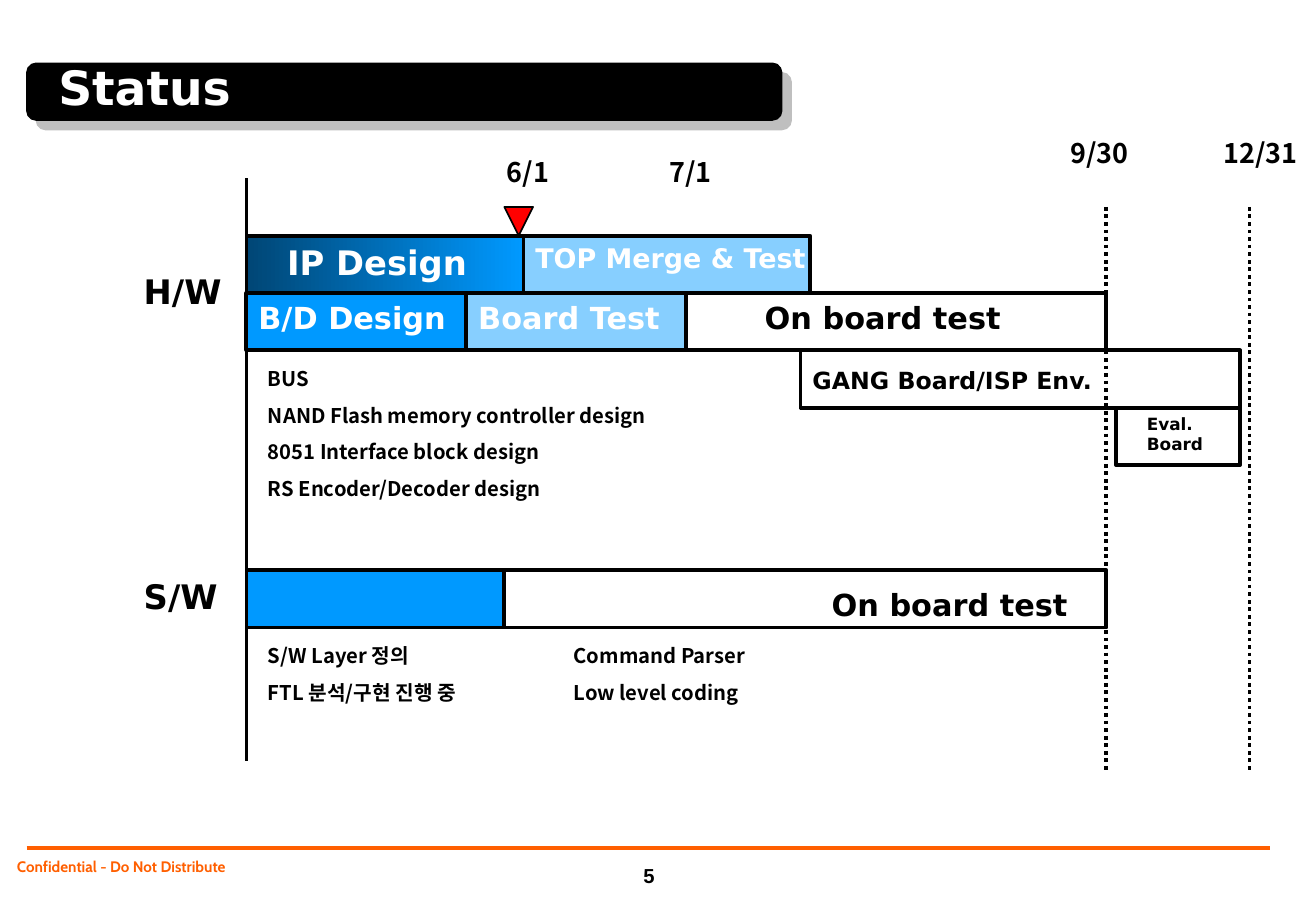
from lxml import etree
from pptx import Presentation
from pptx import util as u
from pptx.dml.color import RGBColor
from pptx.enum import dml, shapes, text
from pptx.oxml.ns import qn

WIDTH, HEIGHT = 10.84, 7.5
CELL, START_X, START_Y = 0.0787, 2.03, 1.94
BAR = 6
COLORS = {"black": "000000", "white": "FFFFFF", "blue": "0099FF", "navy": "004675",
          "red": "FF0000", "orange": "FF5F00", "shadow": "808080"}
SANS, KOREAN = "DejaVu Sans", "Noto Sans CJK KR"


def rgb(name):
    return RGBColor.from_string(COLORS[name])


def col(n):
    return START_X + n * CELL


def row(n):
    return START_Y + n * CELL


def cells(x, y, width, height):
    return col(x), row(y), width * CELL, height * CELL


def inches(lengths):
    return [u.Inches(length) for length in lengths]


def write(frame, content, font=SANS, size=18, color="black", align=text.PP_ALIGN.LEFT,
          anchor=text.MSO_ANCHOR.TOP, insets=(0.1, 0.05, 0.1, 0.05), gap=0, spacing=1):
    frame.word_wrap = True
    frame.auto_size = text.MSO_AUTO_SIZE.NONE
    frame.vertical_anchor = anchor
    (frame.margin_left, frame.margin_top,
     frame.margin_right, frame.margin_bottom) = inches(insets)
    for i, line in enumerate(content.split("\n")):
        paragraph = frame.paragraphs[0] if i == 0 else frame.add_paragraph()
        paragraph.alignment = align
        paragraph.line_spacing = spacing
        paragraph.space_before = u.Pt(gap if i else 0)
        run = paragraph.add_run()
        run.text = line
        run.font.name, run.font.size, run.font.bold = font, u.Pt(size), True
        run.font.color.rgb = rgb(color)
        etree.SubElement(run.font._element, qn("a:ea"), typeface=font)


def label(slide, content, place, **style):
    write(slide.shapes.add_textbox(*inches(place)).text_frame, content, **style)


def block(slide, place, fill=None, kind=shapes.MSO_SHAPE.RECTANGLE, weight=2.25, opacity=None):
    shape = slide.shapes.add_shape(kind, *inches(place))
    shape.shadow.inherit = False
    shape.line.color.rgb = rgb("black")
    shape.line.width = u.Pt(weight)
    if fill is None:
        shape.fill.background()
    else:
        shape.fill.solid()
        shape.fill.fore_color.rgb = rgb(fill)
    if opacity:
        tint = shape._element.spPr.find(qn("a:solidFill"))[0]
        etree.SubElement(tint, qn("a:alpha"), val=str(opacity * 1000))
    return shape


def rule(slide, x1, y1, x2, y2, color="black", weight=2.25, dash=None):
    line = slide.shapes.add_connector(shapes.MSO_CONNECTOR.STRAIGHT, *inches((x1, y1, x2, y2)))
    line.line.color.rgb = rgb(color)
    line.line.width = u.Pt(weight)
    if dash:
        line.line.dash_style = dash
    etree.SubElement(line._element.spPr, qn("a:effectLst"))


def add_heading(slide):
    banner = block(slide, (0.22, 0.52, 6.22, 0.47), "black",
                   shapes.MSO_SHAPE.ROUNDED_RECTANGLE, 0.75)
    effects = banner._element.spPr.find(qn("a:effectLst"))
    shadow = etree.SubElement(effects, qn("a:outerShdw"), blurRad="0", dist=str(u.Pt(8)),
                              dir="2700000", algn="ctr", rotWithShape="0")
    shade = etree.SubElement(shadow, qn("a:srgbClr"), val=COLORS["shadow"])
    etree.SubElement(shade, qn("a:alpha"), val="50000")
    title = slide.shapes.title
    title.left, title.top, title.width, title.height = inches((0.38, 0.2, 4.41, 1.03))
    write(title.text_frame, "Status", size=28, color="white",
          anchor=text.MSO_ANCHOR.MIDDLE, insets=(0.1, 0.06, 0.1, 0.06))
    banner._element.addnext(title._element)


def add_footer(slide):
    rule(slide, 0.22, 6.98, 10.46, 6.98, "orange", 2)
    label(slide, "Confidential - Do Not Distribute", (0.09, 7.04, 3.66, 0.27), font="Cabin",
          size=9, color="orange", insets=(0.05, 0, 0.05, 0), spacing=1.1)
    label(slide, "5", (5.19, 7.05, 0.31, 0.31), font="Arial", size=12,
          align=text.PP_ALIGN.CENTER, anchor=text.MSO_ANCHOR.BOTTOM)


def add_bars(slide):
    for x, y, width, fill, opacity in (
            (0, 6, 90, None, None), (0, 6, 23, "blue", None), (23, 6, 23, "blue", 47),
            (0, 35, 90, None, None), (0, 35, 27, "blue", None),
            (29, 0, 30, "blue", 47), (58, 12, 46, None, None), (91, 18, 13, None, None)):
        block(slide, cells(x, y, width, BAR), fill, opacity=opacity)
    ip_design = block(slide, cells(0, 0, 29, BAR), "blue")
    ip_design.fill.gradient()
    ip_design.fill.gradient_angle = 180
    for stop, color, position in zip(ip_design.fill.gradient_stops, ("blue", "navy"), (0, 1)):
        stop.color.rgb = rgb(color)
        stop.position = position
    today = block(slide, cells(27, -3, 3, 3), "red", shapes.MSO_SHAPE.ISOSCELES_TRIANGLE, 1)
    today.rotation = 180


def add_time_lines(slide):
    rule(slide, col(0), row(-6), col(0), row(55))
    for deadline in (90, 105):
        rule(slide, col(deadline), row(-3), col(deadline), row(56),
             dash=dml.MSO_LINE.ROUND_DOT)


def add_labels(slide):
    for content, x, y, width, size, color in (
            ("H/W", -12, 3, 14, 20, "black"), ("S/W", -12, 35, 14, 20, "black"),
            ("IP Design", 3, 0, 28, 20, "white"), ("TOP Merge & Test", 29, 0, 38, 16, "white"),
            ("B/D Design", 0, 6, 24, 18, "white"), ("Board Test", 23, 6, 28, 18, "white"),
            ("On board test", 53, 6, 42, 18, "black"), ("On board test", 60, 36, 42, 18, "black"),
            ("GANG Board/ISP Env.", 58, 13, 42, 14, "black"),
            ("Eval. Board", 93, 18, 9, 10, "black")):
        label(slide, content, cells(x, y, width, 5), size=size, color=color)
    for date, x, y in (("6/1", 26, -9), ("7/1", 43, -9), ("9/30", 85, -11), ("12/31", 101, -11)):
        label(slide, date, cells(x, y, 10.9, 5), font=KOREAN, size=16)
    for tasks, x, y in (
            ("BUS\nNAND Flash memory controller design\n8051 Interface block design\n"
             "RS Encoder/Decoder design", 1, 13),
            ("S/W Layer 정의\nFTL 분석/구현 진행 중", 1, 42),
            ("Command Parser\nLow level coding", 33, 42)):
        height = 4 * len(tasks.split("\n"))
        label(slide, tasks, cells(x, y, 73, height), font=KOREAN, size=12, gap=7.5)


def main():
    deck = Presentation()
    deck.slide_width, deck.slide_height = inches((WIDTH, HEIGHT))
    slide = deck.slides.add_slide(deck.slide_layouts[5])
    add_heading(slide)
    add_bars(slide)
    add_time_lines(slide)
    add_labels(slide)
    add_footer(slide)
    deck.save("out.pptx")


if __name__ == "__main__":
    main()
